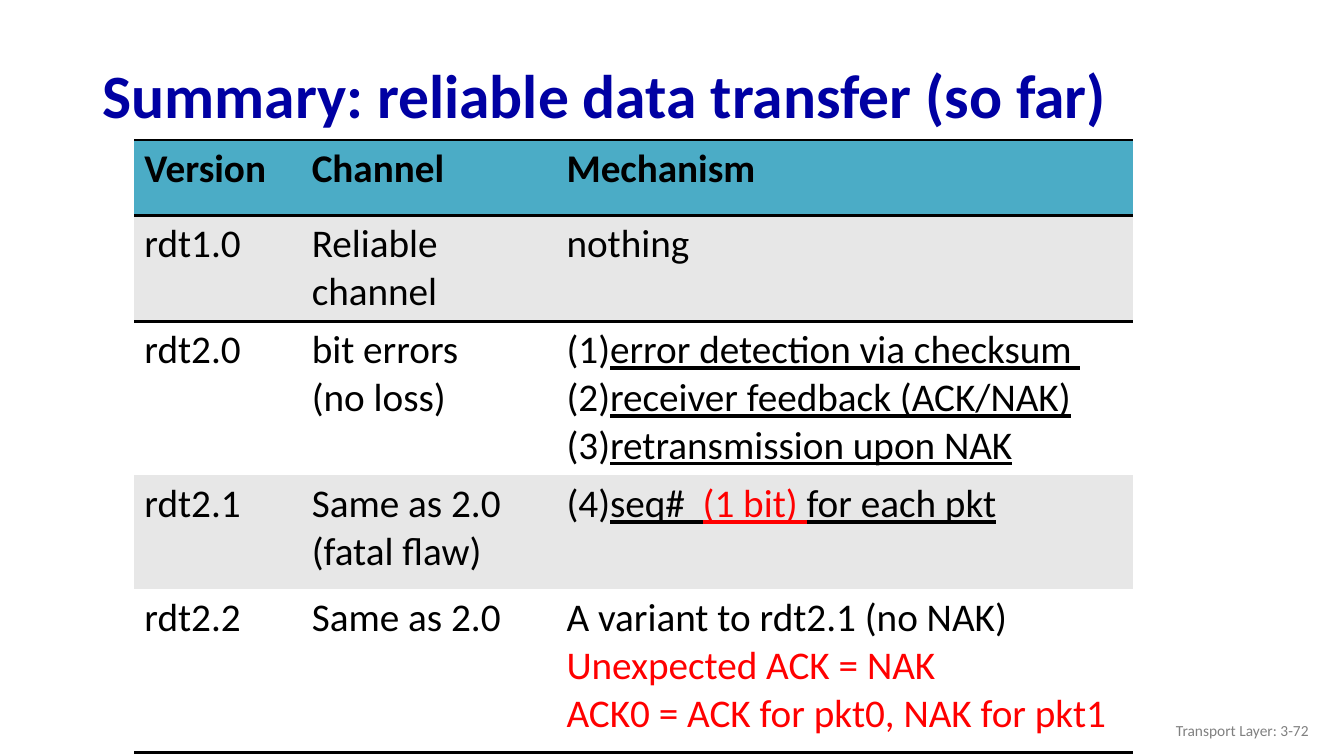
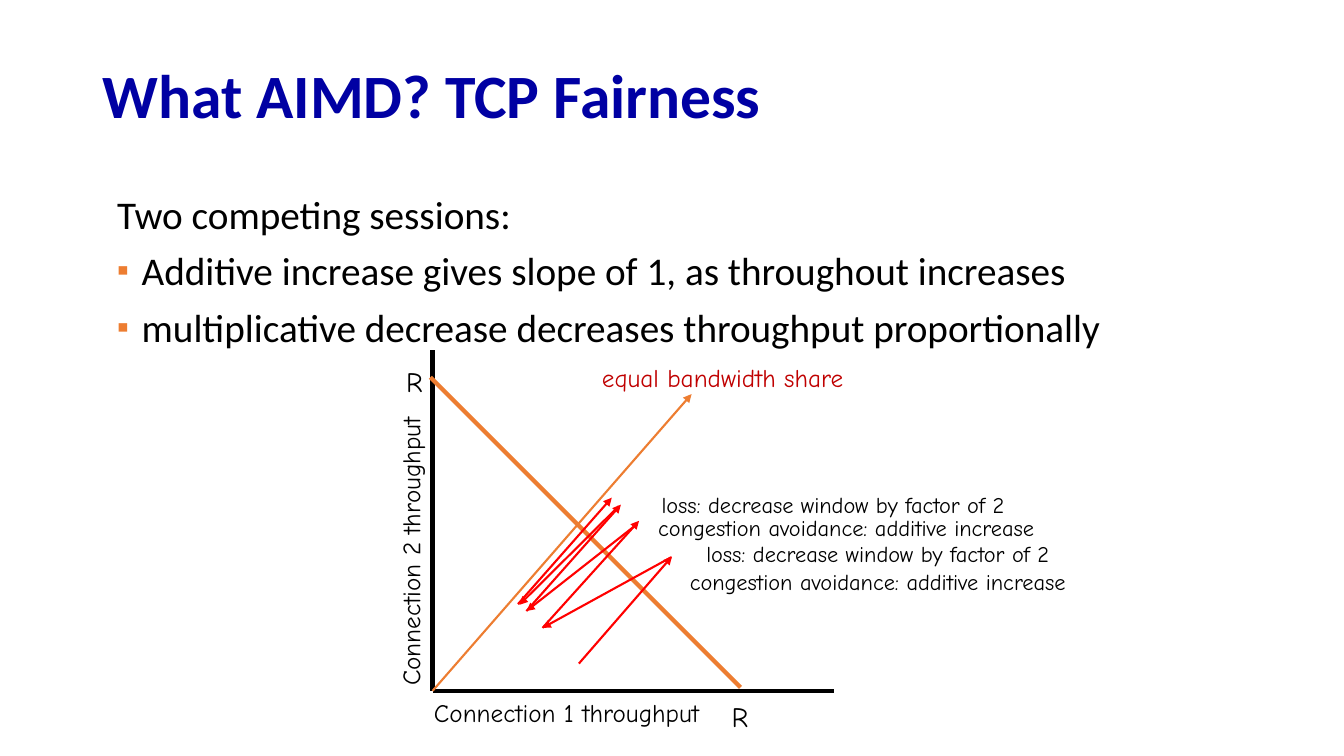
"""Build two lecture slides on reliable data transfer and TCP fairness."""
from lxml import etree
from pptx import Presentation
from pptx.dml.color import RGBColor
from pptx.enum.shapes import MSO_CONNECTOR
from pptx.enum.text import MSO_ANCHOR, MSO_AUTO_SIZE, PP_ALIGN
from pptx.oxml import parse_xml
from pptx.oxml.ns import qn
from pptx.util import Pt

STRAIGHT = MSO_CONNECTOR.STRAIGHT
MIDDLE, TOP = MSO_ANCHOR.MIDDLE, MSO_ANCHOR.TOP
LEFT, CENTER, RIGHT = PP_ALIGN.LEFT, PP_ALIGN.CENTER, PP_ALIGN.RIGHT
NO_FIT = MSO_AUTO_SIZE.NONE

NAVY = RGBColor(0x00, 0x00, 0xA3)
BLACK = RGBColor(0x00, 0x00, 0x00)
WHITE = RGBColor(0xFF, 0xFF, 0xFF)
GRAY = RGBColor(0x80, 0x80, 0x80)
BAND = RGBColor(0xE7, 0xE7, 0xE7)
TEAL = RGBColor(0x4B, 0xAC, 0xC6)
ORANGE = RGBColor(0xED, 0x7D, 0x31)
RED = RGBColor(0xFF, 0x00, 0x00)
DARK_RED = RGBColor(0xC0, 0x00, 0x00)

BODY_FONT, CHART_FONT = "Calibri", "Comic Neue"
DRAWING_NS = "http://schemas.openxmlformats.org/drawingml/2006/main"
PLAIN_TABLE_STYLE = "{2D5ABB26-0587-4C30-8999-92F81FD0307C}"

SUMMARY_TITLE = "Summary: reliable data transfer (so far)"
SUMMARY_FOOTER = "Transport Layer: 3-72"
HEADER = ["Version", "Channel", "Mechanism"]
CHECKSUM_STEPS = ["error detection via checksum ", "receiver feedback (ACK/NAK)",
                  "retransmission upon NAK"]
SEQUENCE_SPANS = [("(4)", BLACK, False), ("seq#  ", BLACK, True),
                  ("(1 bit) ", RED, True), ("for each pkt", BLACK, True)]
VERSIONS = [
    ("rdt1.0", ["Reliable channel"], [[("nothing", BLACK, False)]]),
    ("rdt2.0", ["bit errors", "(no loss)"],
     [[(step, BLACK, True)] for step in CHECKSUM_STEPS]),
    ("rdt2.1", ["Same as 2.0", "(fatal flaw)"], [SEQUENCE_SPANS]),
    ("rdt2.2", ["Same as 2.0"],
     [[("A variant to rdt2.1 (no NAK)", BLACK, False)],
      [("Unexpected ACK = NAK", RED, False)],
      [("ACK0 = ACK for pkt0, NAK for pkt1", RED, False)]]),
]
COLUMN_WIDTHS = [119.5, 182, 412]
ROW_HEIGHTS = [54, 74, 108, 81.5, 116.5]

FAIRNESS_TITLE = "What AIMD? TCP Fairness"
FAIRNESS_INTRO = "Two competing sessions:"
FAIRNESS_BULLETS = [
    "Additive increase gives slope of 1, as throughout increases",
    "multiplicative decrease decreases throughput proportionally",
]
ORIGIN = (309, 493.5)
GRAPH_LINES = [
    (ORIGIN, (595.5, 493.5), BLACK, 3, False),
    (ORIGIN, (309, 250), BLACK, 3, False),
    (ORIGIN, (494, 281.5), ORANGE, 1.5, True),
    ((307.5, 269.5), (529, 491), ORANGE, 3, False),
]
WINDOW_STEPS = [
    ((413.5, 474), (480, 397.5)), ((479.5, 398), (387.5, 448.5)),
    ((387.5, 448.5), (456.5, 372)), ((453, 376), (376, 436.5)),
    ((376, 436.5), (443.5, 360.5)), ((442, 361.5), (371, 432)),
    ((370, 431.5), (437, 355.5)),
]
INCREASE = "congestion avoidance: additive increase"
DECREASE = "loss: decrease window by factor of 2"
GRAPH_LABELS = [
    ("R", (280, 256.5, 32, 31), 20, BLACK, 0),
    ("R", (512.5, 496, 32, 31), 20, BLACK, 0),
    ("equal bandwidth share", (376.5, 255.5, 279.5, 29), 18, DARK_RED, 0),
    ("Connection 1 throughput", (265, 494.5, 279.5, 29), 18, BLACK, 0),
    ("Connection 2 throughput", (153.5, 379.5, 279.5, 29), 18, BLACK, 270),
    (INCREASE, (448.5, 402, 357, 26.5), 16, BLACK, 0),
    (DECREASE, (482.5, 382.5, 289, 26.5), 16, BLACK, 0),
    (INCREASE, (426, 363.5, 357, 26.5), 16, BLACK, 0),
    (DECREASE, (450.5, 347, 289, 26.5), 16, BLACK, 0),
]


def style(paragraph, size, color, font=BODY_FONT, bold=False, align=LEFT):
    paragraph.alignment = align
    paragraph.font.name = font
    paragraph.font.size = Pt(size)
    paragraph.font.bold = bold
    paragraph.font.color.rgb = color


def place(shape, left, top, width, height):
    shape.left, shape.top = Pt(left), Pt(top)
    shape.width, shape.height = Pt(width), Pt(height)


def hang(paragraph, margin, indent, *bullet_parts):
    properties = paragraph._p.get_or_add_pPr()
    properties.set("marL", str(Pt(margin)))
    properties.set("indent", str(Pt(indent)))
    for tag, attributes in bullet_parts:
        etree.SubElement(properties, qn(tag), attributes)
    return properties


def add_titled_slide(deck, layout_index, title):
    slide = deck.slides.add_slide(deck.slide_layouts[layout_index])
    heading = slide.shapes.title
    place(heading, 66, 35.5, 828, 70.5)
    frame = heading.text_frame
    frame.text = title
    frame.vertical_anchor = MIDDLE
    frame.auto_size = NO_FIT
    frame.paragraphs[0].line_spacing = 0.9
    style(frame.paragraphs[0], 44, NAVY, bold=True)
    return slide


def add_label(slide, text, box, size, color, font, align, anchor=TOP, rotation=0):
    label = slide.shapes.add_textbox(*map(Pt, box))
    label.rotation = rotation
    frame = label.text_frame
    frame.word_wrap = True
    frame.vertical_anchor = anchor
    frame.text = text
    style(frame.paragraphs[0], size, color, font, align=align)


def add_line(slide, start, end, color, width, arrow):
    line = slide.shapes.add_connector(STRAIGHT, *map(Pt, start + end))
    line.line.color.rgb = color
    line.line.width = Pt(width)
    if arrow:
        etree.SubElement(line.line._get_or_add_ln(), qn("a:tailEnd"), {"type": "triangle"})
    etree.SubElement(line._element.spPr, qn("a:effectLst"))


def add_rule(cell, position, tag):
    cell._tc.get_or_add_tcPr().insert(position, parse_xml(
        f'<a:{tag} xmlns:a="{DRAWING_NS}" w="{Pt(2)}"><a:solidFill>'
        f'<a:srgbClr val="{BLACK}"/></a:solidFill></a:{tag}>'))


def fill_cell(cell, paragraphs, background, bold, numbered):
    cell.fill.solid()
    cell.fill.fore_color.rgb = background
    frame = cell.text_frame
    for index, spans in enumerate(paragraphs):
        paragraph = frame.add_paragraph() if index else frame.paragraphs[0]
        if numbered:
            hang(paragraph, 27, -27, ("a:buAutoNum", {"type": "arabicParenBoth"}))
        style(paragraph, 28, spans[0][1], bold=bold)
        for text, color, underlined in spans:
            run = paragraph.add_run()
            run.text = text
            if underlined:
                run.font.underline = True
            if color != spans[0][1]:
                run.font.color.rgb = color


def build_summary(deck):
    slide = add_titled_slide(deck, 5, SUMMARY_TITLE)
    rows = [[[[(name, BLACK, False)]] for name in HEADER]]
    for version, channel, mechanism in VERSIONS:
        rows.append([[[(version, BLACK, False)]],
                     [[(line, BLACK, False)] for line in channel], mechanism])
    table = slide.shapes.add_table(
        len(rows), len(HEADER), Pt(96), Pt(100),
        Pt(sum(COLUMN_WIDTHS)), Pt(sum(ROW_HEIGHTS))).table
    table.horz_banding = False
    table._tbl.tblPr.find(qn("a:tableStyleId")).text = PLAIN_TABLE_STYLE
    for column, width in zip(table.columns, COLUMN_WIDTHS):
        column.width = Pt(width)
    for row, height in zip(table.rows, ROW_HEIGHTS):
        row.height = Pt(height)
    last = len(rows) - 1
    for r, row in enumerate(rows):
        background = TEAL if r == 0 else BAND if r % 2 else WHITE
        for c, paragraphs in enumerate(row):
            cell = table.cell(r, c)
            numbered = len(paragraphs) > 1 and all(spans[0][2] for spans in paragraphs)
            fill_cell(cell, paragraphs, background, r == 0, numbered)
            if r in (0, last):
                add_rule(cell, 0, "lnB")
            if r in (0, 1):
                add_rule(cell, 0, "lnT")
    add_label(slide, SUMMARY_FOOTER, (726, 507.5, 216, 29), 11, GRAY,
              BODY_FONT, RIGHT, MIDDLE)


def build_fairness(deck):
    slide = add_titled_slide(deck, 1, FAIRNESS_TITLE)
    body = slide.placeholders[1]
    place(body, 66, 136, 828, 342.5)
    frame = body.text_frame
    frame.auto_size = NO_FIT
    frame.text = "\n".join([FAIRNESS_INTRO] + FAIRNESS_BULLETS)
    for index, paragraph in enumerate(frame.paragraphs):
        if index:
            properties = hang(paragraph, 28, -17.5, ("a:buClr", {}),
                              ("a:buSzPct", {"val": "85000"}),
                              ("a:buFont", {"typeface": BODY_FONT}),
                              ("a:buChar", {"char": "▪"}))
            etree.SubElement(properties.find(qn("a:buClr")), qn("a:srgbClr"),
                             {"val": str(ORANGE)})
        else:
            hang(paragraph, 28, -17.5, ("a:buNone", {}))
        paragraph.line_spacing = 0.9
        paragraph.space_before = Pt(10 if index else 0)
        style(paragraph, 28, BLACK)
    for graph_line in GRAPH_LINES:
        add_line(slide, *graph_line)
    for start, end in WINDOW_STEPS:
        add_line(slide, start, end, RED, 1.5, True)
    for text, box, size, color, rotation in GRAPH_LABELS:
        add_label(slide, text, box, size, color, CHART_FONT, CENTER, rotation=rotation)


def main():
    deck = Presentation()
    deck.slide_width, deck.slide_height = Pt(960), Pt(540)
    build_summary(deck)
    build_fairness(deck)
    deck.save("out.pptx")


if __name__ == "__main__":
    main()
